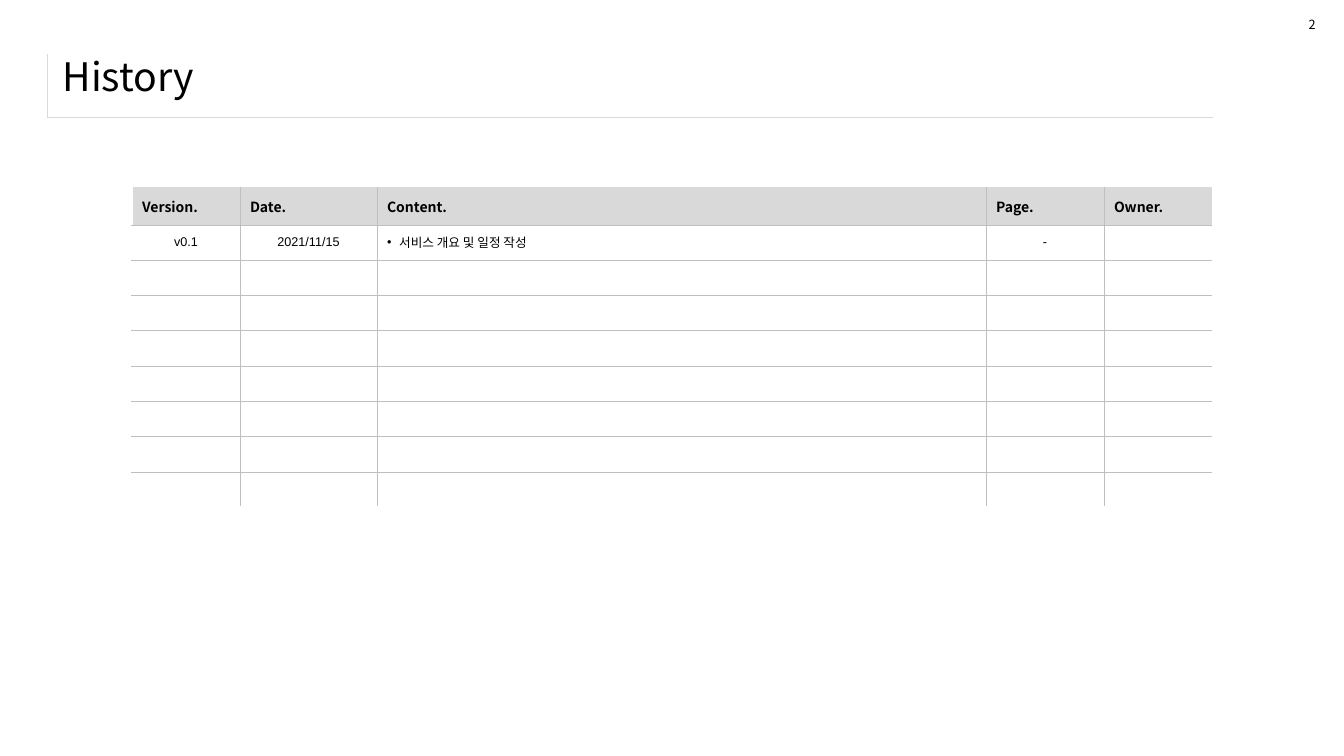
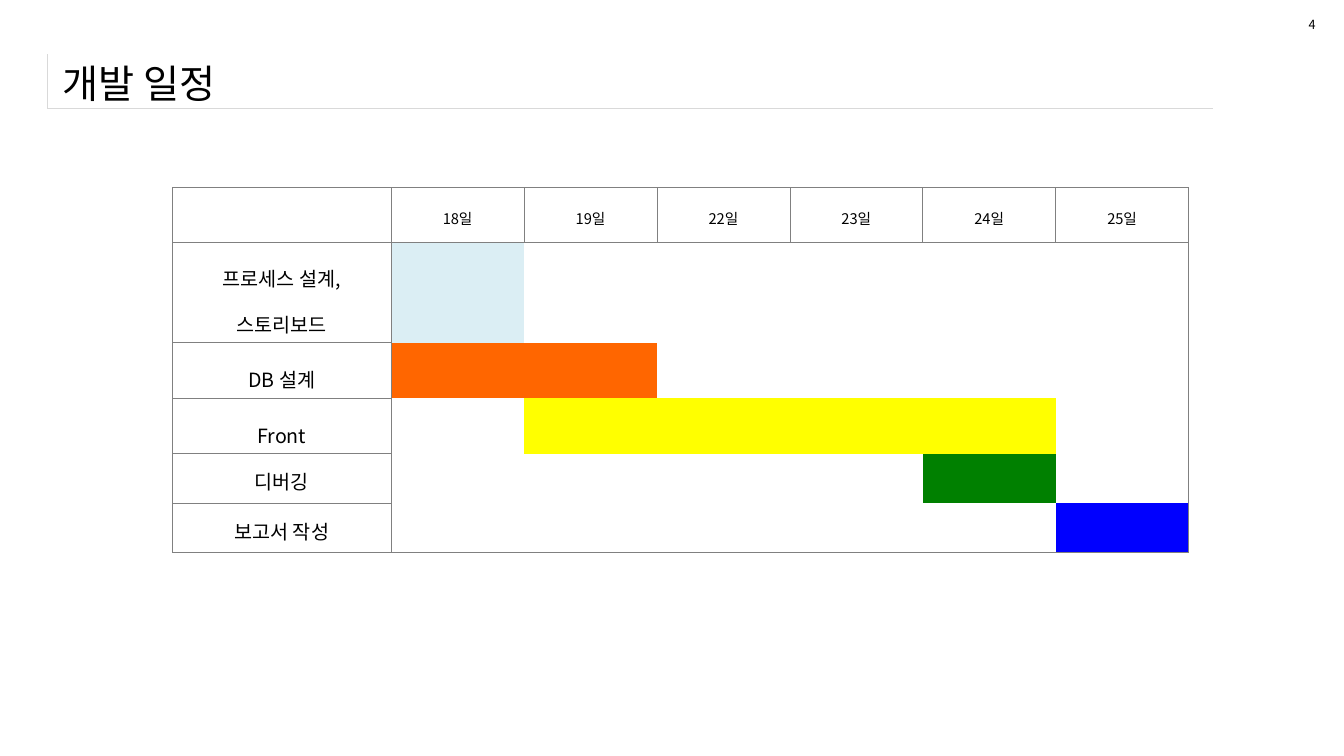
from lxml.etree import SubElement
from pptx import Presentation
from pptx.dml.color import RGBColor
from pptx.enum.text import MSO_ANCHOR, MSO_AUTO_SIZE, PP_ALIGN
from pptx.oxml.ns import qn
from pptx.util import Inches, Pt

MIDDLE = MSO_ANCHOR.MIDDLE
NO_AUTOFIT, FIT_SHAPE = MSO_AUTO_SIZE.NONE, MSO_AUTO_SIZE.SHAPE_TO_FIT_TEXT
LEFT, CENTER = PP_ALIGN.LEFT, PP_ALIGN.CENTER

BLACK = RGBColor(0x00, 0x00, 0x00)
WHITE = RGBColor(0xFF, 0xFF, 0xFF)
LIGHT_GRAY = RGBColor(0xD9, 0xD9, 0xD9)
SILVER = RGBColor(0xBF, 0xBF, 0xBF)
GRAY = RGBColor(0x80, 0x80, 0x80)
PALE_BLUE = RGBColor(0xDB, 0xEE, 0xF4)
ORANGE = RGBColor(0xFF, 0x66, 0x00)
YELLOW = RGBColor(0xFF, 0xFF, 0x00)
GREEN = RGBColor(0x00, 0x80, 0x00)
BLUE = RGBColor(0x00, 0x00, 0xFF)

KOREAN_FONT = "Noto Sans CJK KR"
LATIN_FONT = "Arial"
TABLE_TOP = 1.86

TITLE_LINE = (LIGHT_GRAY, 0.25)
HISTORY_LINE = (SILVER, 0.25)
HISTORY_EDGE = (WHITE, 1)
SCHEDULE_LINE = (GRAY, 0.5)

HISTORY_HEADERS = ["Version.", "Date.", "Content.", "Page.", "Owner."]
HISTORY_ENTRY = ["v0.1", "2021/11/15", "서비스 개요 및 일정 작성", "-", ""]
HISTORY_WIDTHS = [1.07, 1.36, 6.04, 1.17, 1.07]
HISTORY_HEIGHTS = [0.37] + [0.35] * 8
CONTENT_COLUMN = 2

DAYS = ["18일", "19일", "22일", "23일", "24일", "25일"]
DAYS_WIDTH = 7.91
TASKS = [
    ("프로세스 설계, 스토리보드", 1.0, 1.6, PALE_BLUE, 1, 1),
    ("DB 설계", 0.55, 1.6, ORANGE, 1, 2),
    ("Front", 0.55, 1.6, YELLOW, 2, 5),
    ("디버깅", 0.49, 1.2, GREEN, 5, 5),
    ("보고서 작성", 0.49, 1.2, BLUE, 6, 6),
]


class Deck:
    """Holds the shared style and the slide being built."""

    def __init__(self):
        self.presentation = Presentation()
        self.presentation.slide_width = Inches(13.33)
        self.presentation.slide_height = Inches(7.5)
        self.slide = None

    def style(self, paragraph, size, font=KOREAN_FONT, bold=False, align=LEFT):
        paragraph.alignment = align
        paragraph.font.size = Pt(size)
        paragraph.font.bold = bold
        paragraph.font.color.rgb = BLACK
        paragraph.font.name = font
        properties = paragraph._p.pPr.find(qn("a:defRPr"))
        SubElement(properties, qn("a:ea")).set("typeface", KOREAN_FONT)

    def add_slide(self, title, number, title_top, title_height, frame_size):
        layout = self.presentation.slide_layouts[5]
        self.slide = self.presentation.slides.add_slide(layout)
        self.title_frame(frame_size)
        self.title(title, title_top, title_height)
        self.page_number(number)

    def title_frame(self, size):
        cell = self.table(0.47, 0.54, [11.56], [0.53]).cell(0, 0)
        self.cell(cell, "", size)
        self.borders(cell, left=TITLE_LINE, bottom=TITLE_LINE)

    def title(self, text, top, height):
        shape = self.slide.shapes.title
        shape.left, shape.top = Inches(0.52), Inches(top)
        shape.width, shape.height = Inches(12.49), Inches(height)
        frame = shape.text_frame
        frame.text = text
        frame.auto_size = NO_AUTOFIT
        frame.vertical_anchor = MIDDLE
        self.style(frame.paragraphs[0], 28)

    def page_number(self, number):
        box = self.slide.shapes.add_textbox(
            Inches(12.88), Inches(0.12), Inches(0.27), Inches(0.25))
        frame = box.text_frame
        frame.text = str(number)
        frame.word_wrap = False
        frame.auto_size = FIT_SHAPE
        self.style(frame.paragraphs[0], 9)

    def table(self, left, top, widths, heights):
        frame = self.slide.shapes.add_table(
            len(heights), len(widths), Inches(left), Inches(top),
            Inches(sum(widths)), Inches(sum(heights)))
        table = frame.table
        table.first_row = table.horz_banding = False
        for column, width in zip(table.columns, widths):
            column.width = Inches(width)
        for row, height in zip(table.rows, heights):
            row.height = Inches(height)
        return table

    def cell(self, cell, text, size, fill=None, spacing=1.0, **style):
        cell.text = text
        cell.vertical_anchor = MIDDLE
        if fill is None:
            cell.fill.background()
        else:
            cell.fill.solid()
            cell.fill.fore_color.rgb = fill
        paragraph = cell.text_frame.paragraphs[0]
        paragraph.line_spacing = spacing
        self.style(paragraph, size, **style)
        return paragraph

    def borders(self, cell, **lines):
        properties = cell._tc.get_or_add_tcPr()
        for position, side in enumerate(("left", "right", "top", "bottom")):
            border = SubElement(properties, qn(f"a:ln{side[0].upper()}"))
            if lines.get(side):
                color, width = lines[side]
                border.set("w", str(Pt(width)))
                solid = SubElement(border, qn("a:solidFill"))
                SubElement(solid, qn("a:srgbClr")).set("val", str(color))
            else:
                SubElement(border, qn("a:noFill"))
            properties.insert(position, border)

    def bullet(self, paragraph):
        properties = paragraph._p.get_or_add_pPr()
        properties.set("marL", str(Inches(0.12)))
        properties.set("indent", str(-Inches(0.12)))
        defaults = properties.find(qn("a:defRPr"))
        for tag, name, value in (("a:buFont", "typeface", LATIN_FONT),
                                 ("a:buChar", "char", "•")):
            mark = SubElement(properties, qn(tag))
            mark.set(name, value)
            defaults.addprevious(mark)


def add_history(deck):
    deck.add_slide("History", 2, 0.44, 0.63, 26)
    table = deck.table(1.31, TABLE_TOP, HISTORY_WIDTHS, HISTORY_HEIGHTS)
    last_row, last_column = len(HISTORY_HEIGHTS) - 1, len(HISTORY_WIDTHS) - 1
    for row in range(last_row + 1):
        for column in range(last_column + 1):
            cell = table.cell(row, column)
            if row == 0:
                deck.cell(cell, HISTORY_HEADERS[column], 10, LIGHT_GRAY, bold=True)
            else:
                text = HISTORY_ENTRY[column] if row == 1 else ""
                is_content = column == CONTENT_COLUMN
                paragraph = deck.cell(
                    cell, text, 9, font=KOREAN_FONT if is_content else LATIN_FONT,
                    align=LEFT if is_content else CENTER)
                if text and is_content:
                    deck.bullet(paragraph)
            deck.borders(
                cell,
                left=HISTORY_LINE if column else HISTORY_EDGE,
                right=HISTORY_LINE if column < last_column else None,
                top=HISTORY_LINE if row else None,
                bottom=HISTORY_LINE if row < last_row else HISTORY_EDGE)


def add_schedule(deck):
    deck.add_slide("개발 일정", 4, 0.49, 0.67, 9)
    widths = [2.17] + [DAYS_WIDTH / len(DAYS)] * len(DAYS)
    heights = [0.54] + [task[1] for task in TASKS]
    table = deck.table(1.71, TABLE_TOP, widths, heights)
    for column, day in enumerate([""] + DAYS):
        deck.cell(table.cell(0, column), day, 10.5, spacing=1.3, align=CENTER)
    for row, (name, _, spacing, color, first, last) in enumerate(TASKS, 1):
        deck.cell(table.cell(row, 0), name, 14, spacing=spacing, align=CENTER)
        for column in range(1, len(DAYS) + 1):
            fill = color if first <= column <= last else None
            deck.cell(table.cell(row, column), "", 10.5, fill)
    for row in range(len(TASKS) + 1):
        for column in range(len(DAYS) + 1):
            heading = row == 0 or column == 0
            edges = {"left": column == 1, "right": column == len(DAYS),
                     "top": row == 1, "bottom": row == len(TASKS)}
            deck.borders(table.cell(row, column), **{
                side: SCHEDULE_LINE for side, outer in edges.items()
                if heading or outer})


def main():
    deck = Deck()
    add_history(deck)
    add_schedule(deck)
    deck.presentation.save("out.pptx")


if __name__ == "__main__":
    main()
